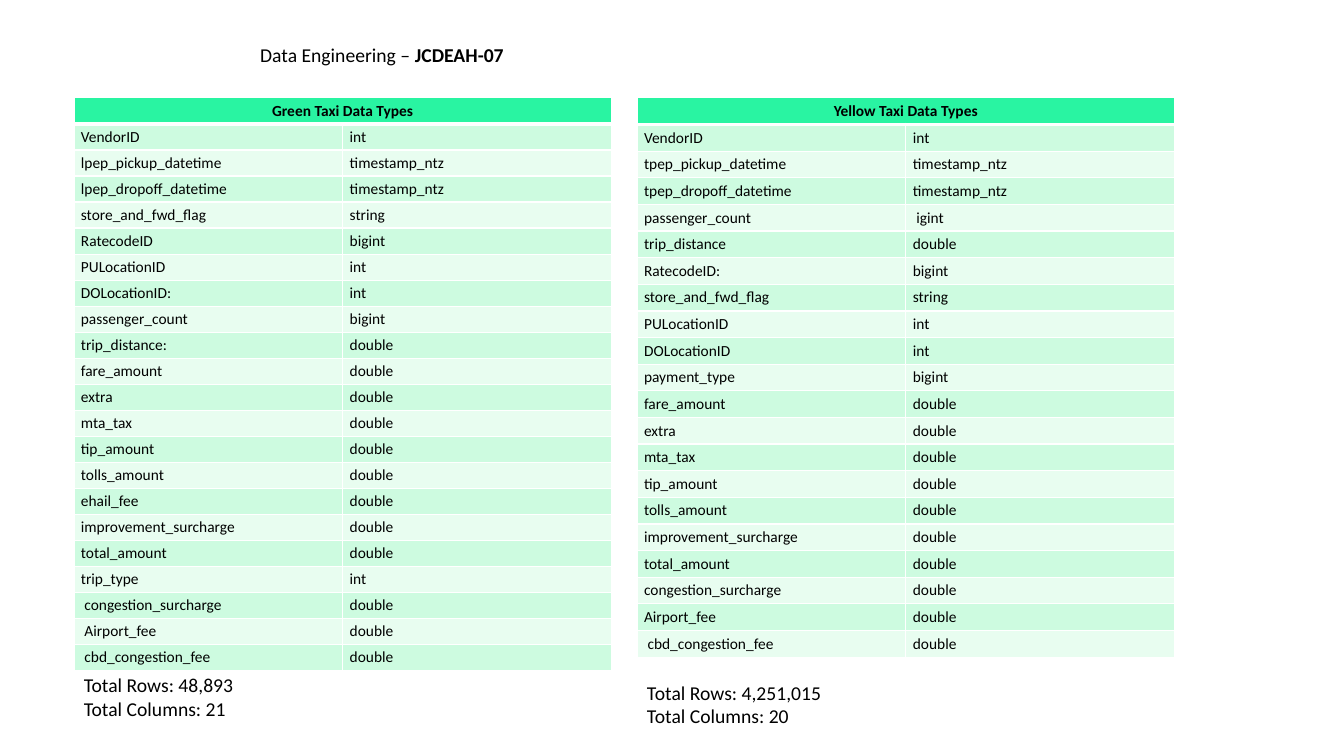
from dataclasses import dataclass

from lxml import etree
from pptx import Presentation
from pptx import util as u
from pptx.dml.color import RGBColor
from pptx.enum import text
from pptx.oxml import ns

COLORS = {
    "text": "000000",
    "header": "29F4A2",
    "band_dark": "CDFBE0",
    "band_light": "E8FDF0",
    "border": "FFFFFF",
}
FONT = "Calibri"

# The slide is a grid of 20 columns by 20 rows
SLIDE_W, SLIDE_H = u.Inches(13.33), u.Inches(7.5)
GRID = 20
TABLE_TOP, TABLE_HEIGHT = 2.59, 14.8
TABLE_COLUMN = 4
TOTALS_SIZE = (3.8, 1.52)


@dataclass(frozen=True)
class TaxiSchema:
    heading: str
    left: float
    totals_top: float
    total_rows: str
    fields: list[tuple[str, str]]
    indented: set[str]


GREEN = TaxiSchema(
    "Green Taxi Data Types", 1.1, 17.68, "48,893",
    [
        ("VendorID", "int"),
        ("lpep_pickup_datetime", "timestamp_ntz"),
        ("lpep_dropoff_datetime", "timestamp_ntz"),
        ("store_and_fwd_flag", "string"),
        ("RatecodeID", "bigint"),
        ("PULocationID", "int"),
        ("DOLocationID:", "int"),
        ("passenger_count", "bigint"),
        ("trip_distance:", "double"),
        ("fare_amount", "double"),
        ("extra", "double"),
        ("mta_tax", "double"),
        ("tip_amount", "double"),
        ("tolls_amount", "double"),
        ("ehail_fee", "double"),
        ("improvement_surcharge", "double"),
        ("total_amount", "double"),
        ("trip_type", "int"),
        ("congestion_surcharge", "double"),
        ("Airport_fee", "double"),
        ("cbd_congestion_fee", "double"),
    ],
    {"congestion_surcharge", "Airport_fee", "cbd_congestion_fee"},
)
YELLOW = TaxiSchema(
    "Yellow Taxi Data Types", 9.48, 17.87, "4,251,015",
    [
        ("VendorID", "int"),
        ("tpep_pickup_datetime", "timestamp_ntz"),
        ("tpep_dropoff_datetime", "timestamp_ntz"),
        ("passenger_count", "igint"),
        ("trip_distance", "double"),
        ("RatecodeID:", "bigint"),
        ("store_and_fwd_flag", "string"),
        ("PULocationID", "int"),
        ("DOLocationID", "int"),
        ("payment_type", "bigint"),
        ("fare_amount", "double"),
        ("extra", "double"),
        ("mta_tax", "double"),
        ("tip_amount", "double"),
        ("tolls_amount", "double"),
        ("improvement_surcharge", "double"),
        ("total_amount", "double"),
        ("congestion_surcharge", "double"),
        ("Airport_fee", "double"),
        ("cbd_congestion_fee", "double"),
    ],
    {"igint", "cbd_congestion_fee"},
)


def across(columns: float) -> int:
    return round(SLIDE_W * columns / GRID)


def down(rows: float) -> int:
    return round(SLIDE_H * rows / GRID)


def add_run(paragraph, words: str, size: float, bold: bool = False) -> None:
    run = paragraph.add_run()
    run.text = words
    run.font.name = FONT
    run.font.size = u.Pt(size)
    run.font.bold = bold
    run.font.color.rgb = RGBColor.from_string(COLORS["text"])


def add_border(cell, side: str, width: float) -> None:
    line = etree.SubElement(cell._tc.get_or_add_tcPr(), ns.qn(f"a:ln{side}"),
                            w=str(u.Pt(width)))
    fill = etree.SubElement(line, ns.qn("a:solidFill"))
    etree.SubElement(fill, ns.qn("a:srgbClr"), val=COLORS["border"])


def format_cell(cell, row: int, fill: str, indent: bool = False) -> None:
    thick = {(0, "B"), (1, "T")}
    for side in "LRTB":
        add_border(cell, side, 3 if (row, side) in thick else 1)
    cell.fill.solid()
    cell.fill.fore_color.rgb = RGBColor.from_string(COLORS[fill])
    cell.vertical_anchor = text.MSO_ANCHOR.MIDDLE
    cell.margin_left = u.Pt(7.5 if indent else 5)
    cell.margin_right = u.Pt(5)
    cell.margin_top = cell.margin_bottom = u.Pt(2.5)


def add_schema_table(slide, schema: TaxiSchema) -> None:
    row_count = len(schema.fields) + 1
    table = slide.shapes.add_table(
        row_count, 2, across(schema.left), down(TABLE_TOP),
        across(2 * TABLE_COLUMN), down(TABLE_HEIGHT)).table
    for column in table.columns:
        column.width = across(TABLE_COLUMN)
    for table_row in table.rows:
        table_row.height = down(TABLE_HEIGHT / row_count)

    # Heading across both columns
    for column in range(2):
        format_cell(table.cell(0, column), 0, "header")
    heading = table.cell(0, 0)
    heading.merge(table.cell(0, 1))
    paragraph = heading.text_frame.paragraphs[0]
    paragraph.alignment = text.PP_ALIGN.CENTER
    add_run(paragraph, schema.heading, 11, bold=True)

    # Field names and types in alternating bands
    for row, field in enumerate(schema.fields, start=1):
        band = "band_dark" if row % 2 else "band_light"
        for column, words in enumerate(field):
            cell = table.cell(row, column)
            format_cell(cell, row, band, words in schema.indented)
            add_run(cell.text_frame.paragraphs[0], words, 11)


def add_totals(slide, schema: TaxiSchema) -> None:
    width, height = TOTALS_SIZE
    frame = slide.shapes.add_textbox(
        across(schema.left), down(schema.totals_top),
        across(width), down(height)).text_frame
    frame.word_wrap = True
    frame.auto_size = text.MSO_AUTO_SIZE.SHAPE_TO_FIT_TEXT
    add_run(frame.paragraphs[0], f"Total Rows: {schema.total_rows}", 14)
    add_run(frame.add_paragraph(), f"Total Columns: {len(schema.fields)}", 14)


def format_title(slide) -> None:
    title = slide.shapes.title
    title.left, title.top = across(3.72), down(1.01)
    title.width, title.height = across(4.48), down(1.52)
    frame = title.text_frame
    frame.word_wrap = False
    frame.auto_size = text.MSO_AUTO_SIZE.NONE
    frame.vertical_anchor = text.MSO_ANCHOR.TOP
    paragraph = frame.paragraphs[0]
    paragraph.alignment = text.PP_ALIGN.LEFT
    add_run(paragraph, "Data Engineering – ", 14)
    add_run(paragraph, "JCDEAH-07", 14, bold=True)


def main() -> None:
    deck = Presentation()
    deck.slide_width, deck.slide_height = SLIDE_W, SLIDE_H
    slide = deck.slides.add_slide(deck.slide_layouts.get_by_name("Title Only"))
    format_title(slide)
    for schema in (GREEN, YELLOW):
        add_schema_table(slide, schema)
        add_totals(slide, schema)
    deck.save("out.pptx")


if __name__ == "__main__":
    main()
